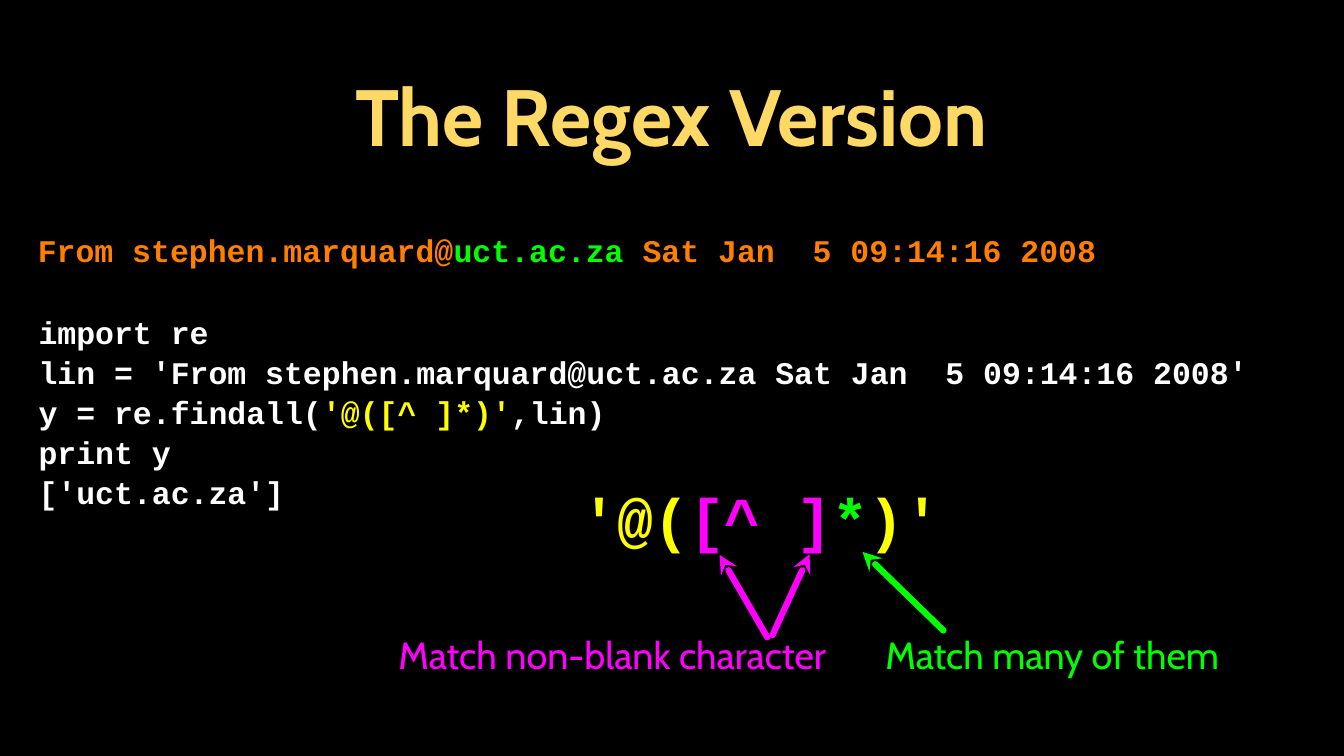
from dataclasses import dataclass

from lxml.etree import SubElement
from pptx import Presentation
from pptx.dml.color import RGBColor as Rgb
from pptx.enum.shapes import MSO_CONNECTOR as Link
from pptx.enum.text import MSO_ANCHOR as Anchor, PP_ALIGN as Align
from pptx.oxml.ns import qn
from pptx.util import Inches, Pt


@dataclass(frozen=True)
class Theme:
    # Colours
    back: str = "000000"
    gold: str = "FFD966"
    white: str = "FFFFFF"
    yellow: str = "FFFF00"
    pink: str = "FF00FF"
    green: str = "00FF00"
    orange: str = "FF7F00"
    # Fonts and sizes
    sans: str = "Cabin"
    mono: str = "Courier New"
    title: int = 76
    regex: int = 57
    label: int = 36
    code: int = 30
    stroke: int = 6


T = Theme()


def add_text(slide, area, lines, size, font=T.mono, bold=True,
             align=Align.LEFT, inset=0, pitch=None):
    """Each line is a list of (text, colour) pairs."""
    frame = slide.shapes.add_textbox(*map(Inches, area)).text_frame
    frame.word_wrap = True
    frame.vertical_anchor = Anchor.MIDDLE
    frame.margin_left = frame.margin_right = Inches(inset)
    frame.margin_top = frame.margin_bottom = Inches(inset)
    for i, line in enumerate(lines):
        para = frame.add_paragraph() if i else frame.paragraphs[0]
        para.alignment = align
        if pitch:
            para.line_spacing = pitch
        for text, color in line:
            run = para.add_run()
            run.text = text
            run.font.name = font
            run.font.size = Pt(size)
            run.font.bold = bold
            run.font.color.rgb = Rgb.from_string(color)


def add_label(slide, area, text, color):
    add_text(slide, area, [[(text, color)]], T.label, font=T.sans,
             bold=False, align=Align.CENTER)


def add_arrow(slide, tip, tail, color):
    ends = map(Inches, (*tip, *tail))
    arrow = slide.shapes.add_connector(Link.STRAIGHT, *ends)
    arrow.line.width = Pt(T.stroke)
    arrow.line.color.rgb = Rgb.from_string(color)
    # Round cap, arrowhead at the tip, no shadow
    line = arrow.line._get_or_add_ln()
    line.set("cap", "rnd")
    SubElement(line, qn("a:round"))
    SubElement(line, qn("a:headEnd"), type="stealth")
    SubElement(arrow._element.spPr, qn("a:effectLst"))


def main():
    deck = Presentation()
    deck.slide_width, deck.slide_height = Inches(17.78), Inches(10)
    slide = deck.slides.add_slide(deck.slide_layouts[6])
    fill = slide.background.fill
    fill.solid()
    fill.fore_color.rgb = Rgb.from_string(T.back)

    # Title
    add_text(slide, (1.26, 0.26, 15.24, 2.51),
             [[("The Regex Version", T.gold)]], T.title,
             font=T.sans, align=Align.CENTER, inset=0.04)

    # Large pattern
    add_text(slide, (7.69, 6.37, 4.8, 0.96),
             [[("'@(", T.yellow), ("[^ ]", T.pink), ("*", T.green),
               (")'", T.yellow)]], T.regex)

    # Labels and their arrows
    add_label(slide, (4.75, 8.31, 6.7, 0.68),
              "Match non-blank character", T.pink)
    add_label(slide, (11.23, 8.31, 5.38, 0.68),
              "Match many of them", T.green)
    for tip, tail, color in (
        ((9.52, 7.34), (10.15, 8.43), T.pink),
        ((11.41, 7.3), (12.48, 8.34), T.green),
        ((10.71, 7.33), (10.22, 8.4), T.pink),
    ):
        add_arrow(slide, tip, tail, color)

    # Mail header
    add_text(slide, (0.5, 2.94, 16.93, 0.74),
             [[("From stephen.marquard@", T.orange), ("uct.ac.za", T.green),
               (" Sat Jan  5 09:14:16 2008", T.orange)]], T.code)

    # Program and its output
    add_text(slide, (0.51, 4.2, 17.24, 2.47), [
        [("import re", T.white)],
        [("lin = 'From stephen.marquard@uct.ac.za "
          "Sat Jan  5 09:14:16 2008'", T.white)],
        [("y = re.findall(", T.white), ("'@([^ ]*)'", T.yellow),
         (",lin)", T.white)],
        [("print y", T.white)],
        [("['uct.ac.za']", T.white)],
    ], T.code, pitch=1.06)

    deck.save("out.pptx")


main()
